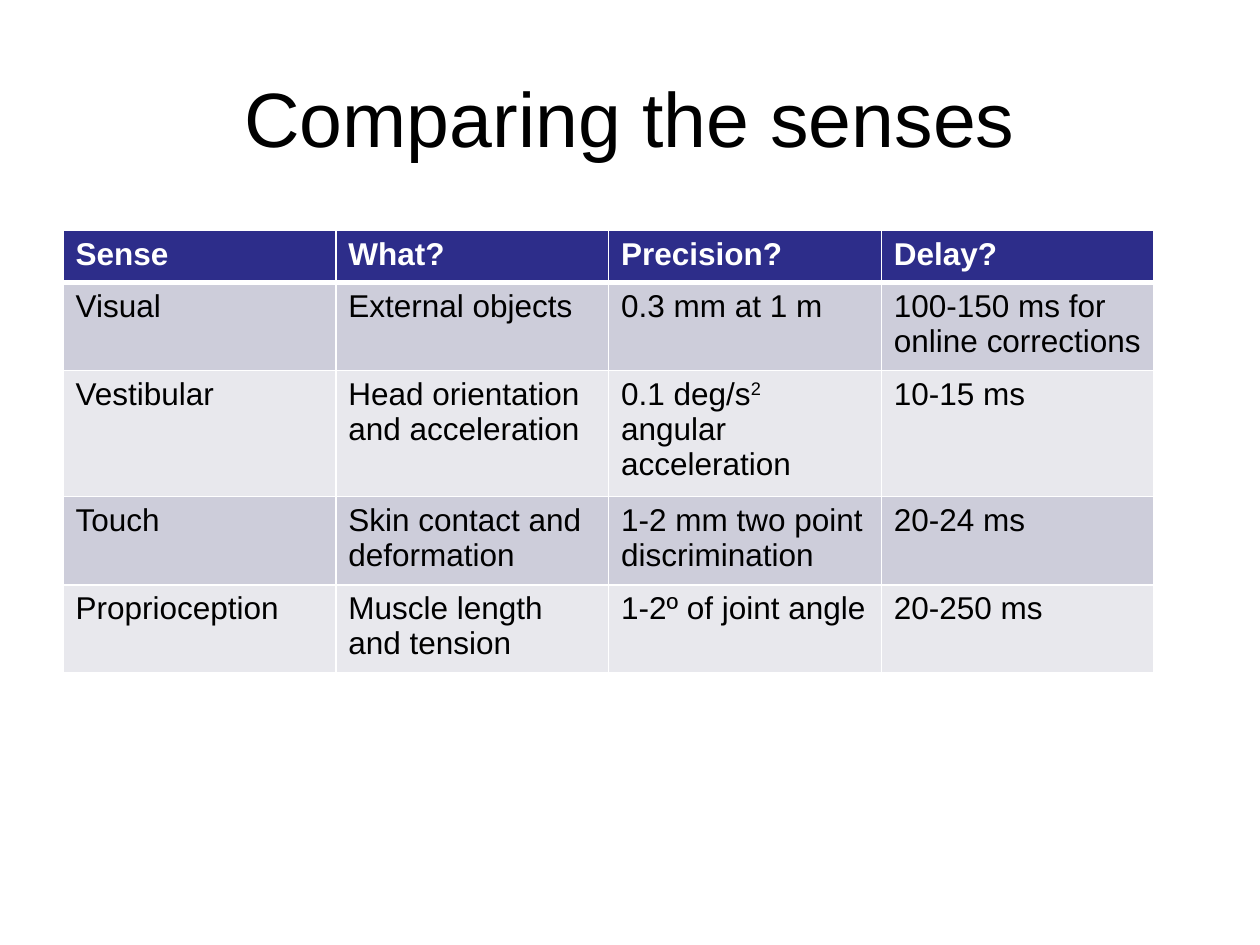
"""Build a slide with a table that compares the senses."""
from lxml import etree
from pptx import Presentation
from pptx import util as u
from pptx.dml.color import RGBColor
from pptx.enum import text
from pptx.oxml import ns

TITLE = "Comparing the senses"
HEAD = ["Sense", "What?", "Precision?", "Delay?"]
ROWS = [
    ["Visual", "External objects", "0.3 mm at 1 m", "100-150 ms for online corrections"],
    ["Vestibular", "Head orientation and acceleration",
     ("0.1 deg/s", "2", " angular acceleration"), "10-15 ms"],
    ["Touch", "Skin contact and deformation", "1-2 mm two point discrimination", "20-24 ms"],
    ["Proprioception", "Muscle length and tension", "1-2º of joint angle", "20-250 ms"],
]
THEME = {
    "font": "Arial", "title": 44, "body": 18, "ink": "000000", "light": "FFFFFF",
    "head": "2D2D8A", "bands": ["CDCDDA", "E8E8ED"], "rule": 1, "thick": 3,
}
LEFT, TOP, COL, ROW = 0.5, 1.83, 2.165, 0.41


def write(par, words, size, color, bold=False):
    parts = (words,) if isinstance(words, str) else words
    for i, part in enumerate(parts):
        run = par.add_run()
        run.text = part
        font = run.font
        font.name, font.size, font.bold = THEME["font"], u.Pt(size), bold
        font.color.rgb = RGBColor.from_string(color)
        if i % 2:
            font._element.set("baseline", "30000")


def edge(cell, widths):
    props = cell._tc.get_or_add_tcPr()
    for i, (side, width) in enumerate(zip("LRTB", widths)):
        line = etree.Element(ns.qn(f"a:ln{side}"), w=str(u.Pt(width)))
        fill = etree.SubElement(line, ns.qn("a:solidFill"))
        etree.SubElement(fill, ns.qn("a:srgbClr"), val=THEME["light"])
        props.insert(i, line)


def add_title(slide):
    box = slide.shapes.add_textbox(*map(u.Inches, (0.5, 0.3, 9, 1.25)))
    frame = box.text_frame
    frame.word_wrap = True
    frame.vertical_anchor = text.MSO_ANCHOR.MIDDLE
    par = frame.paragraphs[0]
    par.alignment = text.PP_ALIGN.CENTER
    write(par, TITLE, THEME["title"], THEME["ink"])


def add_grid(slide):
    data = [HEAD] + ROWS
    size = (LEFT, TOP, COL * len(HEAD), ROW * len(data))
    grid = slide.shapes.add_table(len(data), len(HEAD), *map(u.Inches, size)).table
    rule, thick = THEME["rule"], THEME["thick"]
    for r, row in enumerate(data):
        top = r == 0
        fill = THEME["head"] if top else THEME["bands"][(r - 1) % 2]
        ink = THEME["light"] if top else THEME["ink"]
        widths = (rule, rule, thick if r == 1 else rule, thick if top else rule)
        for c, words in enumerate(row):
            cell = grid.cell(r, c)
            cell.fill.solid()
            cell.fill.fore_color.rgb = RGBColor.from_string(fill)
            edge(cell, widths)
            write(cell.text_frame.paragraphs[0], words, THEME["body"], ink, top)


def main():
    deck = Presentation()
    deck.slide_width, deck.slide_height = u.Inches(10), u.Inches(7.5)
    slide = deck.slides.add_slide(deck.slide_layouts[6])
    add_title(slide)
    add_grid(slide)
    deck.save("out.pptx")


if __name__ == "__main__":
    main()
